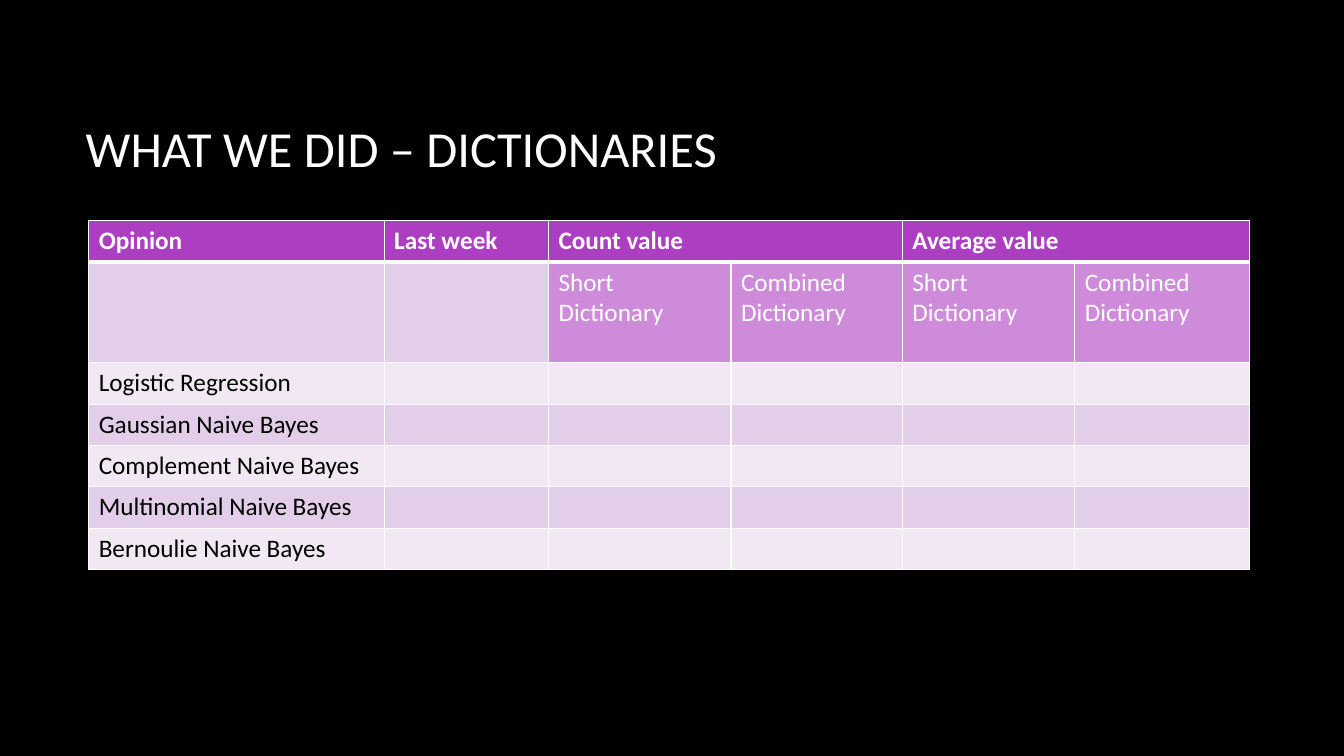
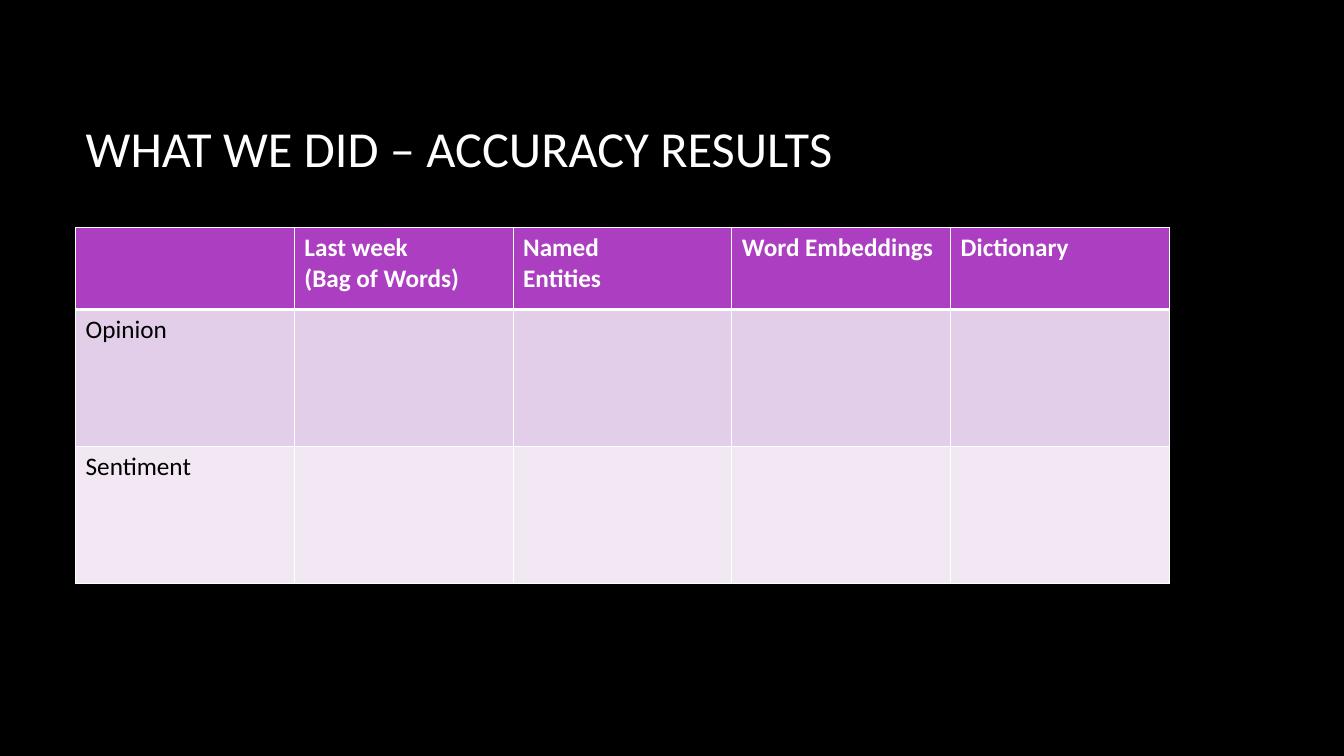
"""Build two dark slides, each with a title and a banded purple table."""
from lxml.etree import SubElement
from pptx import Presentation
from pptx.dml.color import RGBColor
from pptx.enum.text import MSO_ANCHOR, PP_ALIGN
from pptx.oxml.ns import qn
from pptx.util import Inches, Pt

BLACK, WHITE = "000000", "FFFFFF"
HEADER, SUBHEADER = "AC3EC1", "CD8BDA"
BANDS = ["F1E8F4", "E3CEE9"]
FONT = "Calibri"


def color(hex_code):
    return RGBColor.from_string(hex_code)


def add_run(paragraph, text, size, hex_code, bold=False):
    run = paragraph.add_run()
    run.text = text
    run.font.name = FONT
    run.font.size = Pt(size)
    run.font.bold = bold
    run.font.color.rgb = color(hex_code)


deck = [
    {
        "title": "WHAT WE DID – DICTIONARIES",
        "origin": (0.88, 2.19),
        "columns": [2.93, 1.63, 1.81, 1.7, 1.71, 1.73],
        "heights": [0.41, 1] + [0.41] * 5,
        "merges": [(2, 3), (4, 5)],
        "rows": [
            ["Opinion", "Last week", "Count value", "", "Average value", ""],
            ["", ""] + ["Short Dictionary", "Combined Dictionary"] * 2,
            ["Logistic Regression"],
            ["Gaussian Naive Bayes"],
            ["Complement Naive Bayes"],
            ["Multinomial Naive Bayes"],
            ["Bernoulie Naive Bayes"],
        ],
    },
    {
        "title": "WHAT WE DID – ACCURACY RESULTS",
        "origin": (0.75, 2.26),
        "columns": [2.17] * 5,
        "heights": [0.81, 1.36, 1.36],
        "merges": [],
        "rows": [
            ["", "Last week\n(Bag of Words)", "Named\nEntities", "Word Embeddings", "Dictionary"],
            ["Opinion"],
            ["Sentiment"],
        ],
    },
]

prs = Presentation()
prs.slide_width, prs.slide_height = Inches(13.33), Inches(7.5)

layout = prs.slide_layouts.get_by_name("Title Only")
layout.background.fill.solid()
layout.background.fill.fore_color.rgb = color(BLACK)
layout_title = layout.placeholders[0]
layout_title.left, layout_title.top = Inches(0.75), Inches(0.67)
layout_title.width, layout_title.height = Inches(11.08), Inches(1.59)
layout_title.text_frame.vertical_anchor = MSO_ANCHOR.MIDDLE

for page in deck:
    slide = prs.slides.add_slide(layout)
    heading = slide.shapes.title.text_frame.paragraphs[0]
    heading.alignment = PP_ALIGN.LEFT
    add_run(heading, page["title"], 36, WHITE)

    left, top = page["origin"]
    columns, heights = page["columns"], page["heights"]
    results = slide.shapes.add_table(
        len(heights), len(columns), Inches(left), Inches(top),
        Inches(sum(columns)), Inches(sum(heights)),
    ).table
    for column, width in zip(results.columns, columns):
        column.width = Inches(width)
    for row, height in zip(results.rows, heights):
        row.height = Inches(height)
    for first, last in page["merges"]:
        results.cell(0, first).merge(results.cell(0, last))

    for r, labels in enumerate(page["rows"]):
        for c in range(len(columns)):
            cell = results.cell(r, c)
            label = labels[c] if c < len(labels) else ""
            if r == 0:
                fill, ink = HEADER, WHITE
            elif label and c > 0:
                fill, ink = SUBHEADER, WHITE
            else:
                fill, ink = BANDS[r % 2], BLACK

            borders = {"a:lnL": 1, "a:lnR": 1, "a:lnT": 3 if r == 1 else 1, "a:lnB": 3 if r == 0 else 1}
            for edge, points in borders.items():
                line = SubElement(cell._tc.get_or_add_tcPr(), qn(edge), w=str(Pt(points)))
                SubElement(SubElement(line, qn("a:solidFill")), qn("a:srgbClr"), val=WHITE)
            cell.fill.solid()
            cell.fill.fore_color.rgb = color(fill)

            if label:
                for i, text in enumerate(label.split("\n")):
                    frame = cell.text_frame
                    paragraph = frame.add_paragraph() if i else frame.paragraphs[0]
                    add_run(paragraph, text, 18, ink, bold=r == 0)

prs.save("out.pptx")
